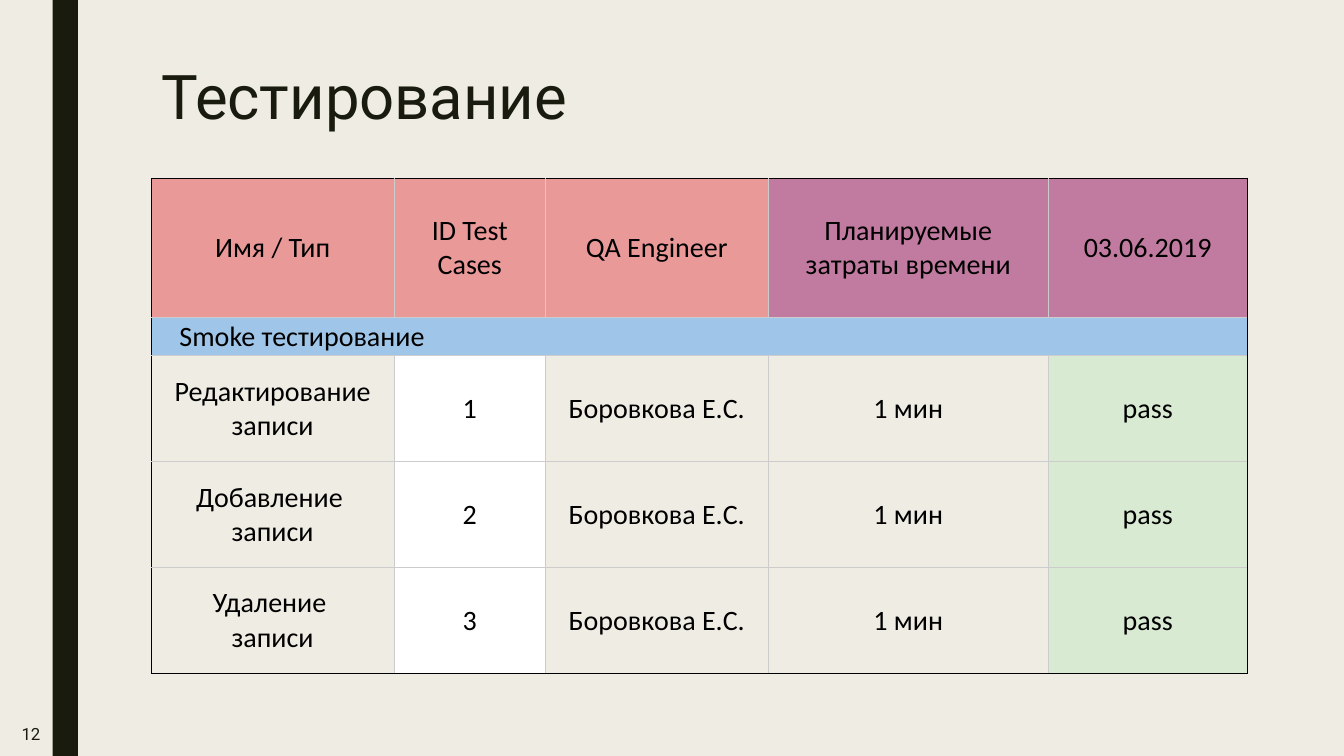
from lxml.etree import SubElement
from pptx import Presentation
from pptx.dml.color import RGBColor
from pptx.enum.shapes import MSO_SHAPE
from pptx.enum.text import MSO_ANCHOR, MSO_AUTO_SIZE, PP_ALIGN
from pptx.oxml.ns import qn
from pptx.util import Inches, Pt

CREAM = RGBColor(0xEF, 0xED, 0xE3)
DARK = RGBColor(0x19, 0x1B, 0x0E)
BLACK = RGBColor(0x00, 0x00, 0x00)
WHITE = RGBColor(0xFF, 0xFF, 0xFF)
GREY = RGBColor(0xCC, 0xCC, 0xCC)
PINK = RGBColor(0xEA, 0x99, 0x99)
PURPLE = RGBColor(0xC2, 0x7B, 0xA0)
BLUE = RGBColor(0x9F, 0xC5, 0xE8)
GREEN = RGBColor(0xD9, 0xEA, 0xD3)

HEADER = ["Имя / Тип", "ID Test Cases", "QA Engineer",
          "Планируемые\vзатраты времени", "03.06.2019"]
SECTION = "Smoke тестирование"
TEST_CASES = ["Редактирование записи", "Добавление \nзаписи", "Удаление \vзаписи"]
HEADER_FILLS = [PINK, PINK, PINK, PURPLE, PURPLE]
CASE_FILLS = [None, WHITE, None, None, GREEN]
SECTION_ROW = 1
COLUMN_WIDTHS = [18.08, 11.25, 16.58, 20.85, 14.78]
ROW_HEIGHTS = [18.4, 5.07, 14, 14, 14]


class SlideBuilder:
    """Places elements by percentages of the slide's width and height."""

    heading_font = "Roboto"
    table_font = "Calibri"

    def __init__(self, deck):
        self.width, self.height = deck.slide_width, deck.slide_height
        self.slide = deck.slides.add_slide(deck.slide_layouts[5])
        self.slide.background.fill.solid()
        self.slide.background.fill.fore_color.rgb = CREAM

    def across(self, percent):
        return round(self.width * percent / 100)

    def down(self, percent):
        return round(self.height * percent / 100)

    def box(self, left, top, width, height):
        return self.across(left), self.down(top), self.across(width), self.down(height)

    def style(self, paragraph, font, size, color, alignment):
        paragraph.font.name = font
        paragraph.font.size = Pt(size)
        paragraph.font.color.rgb = color
        paragraph.alignment = alignment

    def bar(self, color, *place):
        band = self.slide.shapes.add_shape(MSO_SHAPE.RECTANGLE, *self.box(*place))
        band.shadow.inherit = False
        band.fill.solid()
        band.fill.fore_color.rgb = color
        band.line.fill.background()

    def title(self, text, *place):
        heading = self.slide.shapes.title
        heading.left, heading.top, heading.width, heading.height = self.box(*place)
        frame = heading.text_frame
        frame.text = text
        frame.auto_size = MSO_AUTO_SIZE.NONE
        frame.vertical_anchor = MSO_ANCHOR.BOTTOM
        frame.margin_bottom = Inches(0.3)
        line = frame.paragraphs[0]
        line.line_spacing = 0.89
        self.style(line, self.heading_font, 44, DARK, PP_ALIGN.LEFT)

    def page_number(self, text, *place):
        frame = self.slide.shapes.add_textbox(*self.box(*place)).text_frame
        frame.text = text
        frame.word_wrap = True
        frame.vertical_anchor = MSO_ANCHOR.MIDDLE
        self.style(frame.paragraphs[0], self.heading_font, 12, DARK, PP_ALIGN.RIGHT)

    def table(self, rows, fills, *place):
        """Draws rows of text; the section row spans every column."""
        table = self.slide.shapes.add_table(
            len(rows), len(COLUMN_WIDTHS), *self.box(*place)).table
        table.first_row = table.horz_banding = False
        for column, width in zip(table.columns, COLUMN_WIDTHS):
            column.width = self.across(width)
        for row, height in zip(table.rows, ROW_HEIGHTS):
            row.height = self.down(height)

        last_row, last_col = len(rows) - 1, len(COLUMN_WIDTHS) - 1
        section = table.cell(SECTION_ROW, 0)
        section.merge(table.cell(SECTION_ROW, last_col))
        for r, texts in enumerate(rows):
            for c, fill in enumerate(fills[r]):
                cell = table.cell(r, c)
                self.borders(cell, L=c == 0, R=c == last_col or cell.is_merge_origin,
                             T=r == 0, B=r == last_row)
                self.fill_cell(cell, fill)
                if not cell.is_spanned:
                    self.cell_text(cell, texts[c])
        section.margin_left = Inches(0.28)
        section.text_frame.paragraphs[0].alignment = PP_ALIGN.LEFT

    def fill_cell(self, cell, color):
        if color is None:
            cell.fill.background()
        else:
            cell.fill.solid()
            cell.fill.fore_color.rgb = color

    def cell_text(self, cell, text):
        cell.text = text
        cell.vertical_anchor = MSO_ANCHOR.MIDDLE
        cell.margin_left = cell.margin_right = Inches(0.03)
        cell.margin_top = cell.margin_bottom = Inches(0.02)
        for paragraph in cell.text_frame.paragraphs:
            self.style(paragraph, self.table_font, 20, BLACK, PP_ALIGN.CENTER)

    def borders(self, cell, **outer):
        """Outer edges are black, inner ones grey."""
        properties = cell._tc.get_or_add_tcPr()
        for side, is_outer in outer.items():
            edge = SubElement(properties, qn(f"a:ln{side}"), w=str(Pt(0.75)))
            paint = SubElement(edge, qn("a:solidFill"))
            SubElement(paint, qn("a:srgbClr"), val=str(BLACK if is_outer else GREY))


def main():
    deck = Presentation()
    deck.slide_width, deck.slide_height = Inches(13.33), Inches(7.5)

    testing = SlideBuilder(deck)
    testing.bar(DARK, 3.92, 0, 1.88, 100)
    testing.page_number("12", 0, 94.13, 3.75, 5.87)
    testing.title("Тестирование", 11.25, 0, 78.77, 21.6)

    cases = [[name, str(number), "Боровкова Е.С.", "1 мин", "pass"]
             for number, name in enumerate(TEST_CASES, 1)]
    fills = [HEADER_FILLS, [BLUE] * len(HEADER)] + [CASE_FILLS] * len(cases)
    testing.table([HEADER, [SECTION], *cases], fills, 11.25, 23.6, 81.54, 65.47)

    deck.save("out.pptx")


if __name__ == "__main__":
    main()
